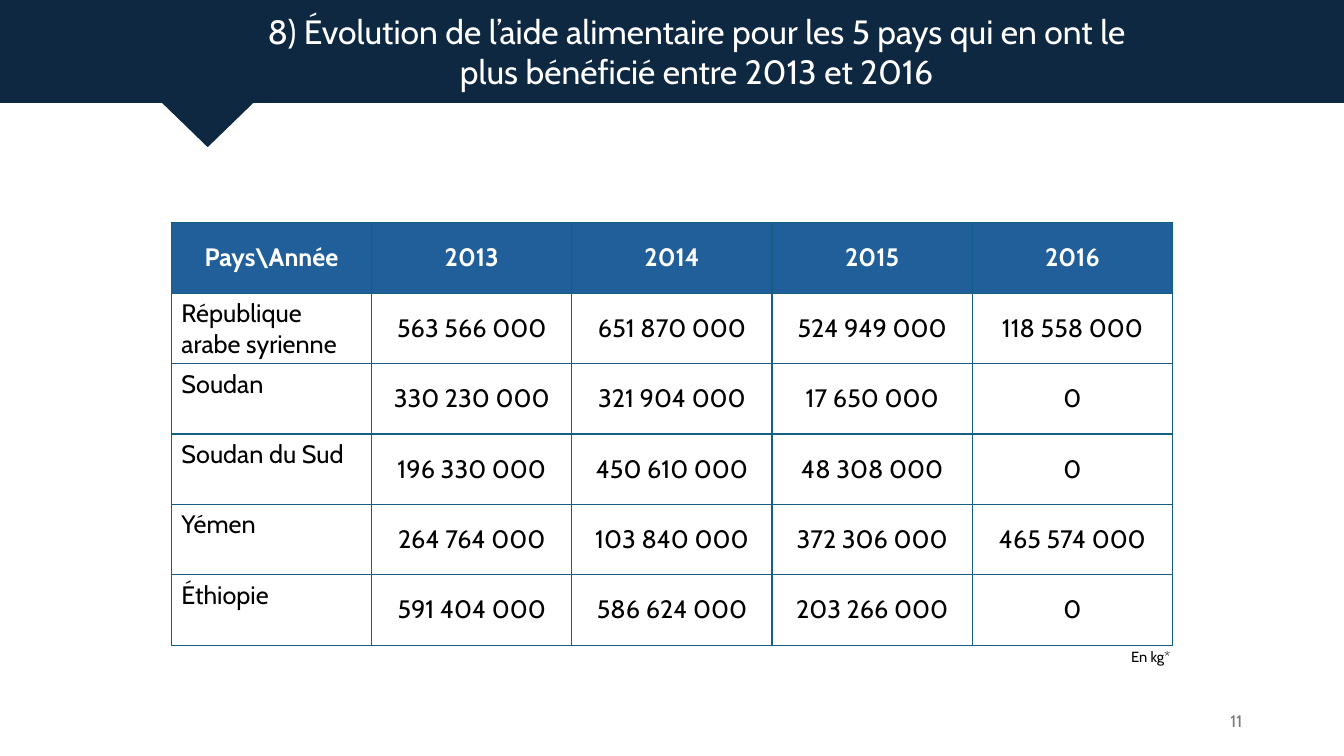
from lxml import etree
from pptx import Presentation
from pptx import util as u
from pptx.dml.color import RGBColor
from pptx.enum import shapes, text
from pptx.oxml import ns

COLORS = {"navy": "0E2841", "header": "215F9A", "border": "156082",
          "white": "FFFFFF", "black": "000000", "grey": "797979"}
LEFT, CENTER, RIGHT = text.PP_ALIGN.LEFT, text.PP_ALIGN.CENTER, text.PP_ALIGN.RIGHT
TOP, MIDDLE = text.MSO_ANCHOR.TOP, text.MSO_ANCHOR.MIDDLE

AID_BY_COUNTRY = [
    [r"Pays\Année", "2013", "2014", "2015", "2016"],
    ["République arabe syrienne", "563 566 000", "651 870 000", "524 949 000", "118 558 000"],
    ["Soudan", "330 230 000", "321 904 000", "17 650 000", "0"],
    ["Soudan du Sud", "196 330 000", "450 610 000", "48 308 000", "0"],
    ["Yémen", "264 764 000", "103 840 000", "372 306 000", "465 574 000"],
    ["Éthiopie", "591 404 000", "586 624 000", "203 266 000", "0"],
]


class AidSlide:
    """Holds the style and the slide, with one method per kind of element."""

    def __init__(self, slide, font="Cabin"):
        self.slide = slide
        self.font = font

    def color(self, key):
        return RGBColor.from_string(COLORS[key])

    def set_words(self, frame, words, size, color, align, bold=False):
        paragraph = frame.paragraphs[0]
        paragraph.alignment = align
        run = paragraph.add_run()
        run.text = words
        formats = {"name": self.font, "size": u.Pt(size), "bold": bold}
        for attribute, value in formats.items():
            setattr(run.font, attribute, value)
        run.font.color.rgb = self.color(color)

    def block(self, preset, box, color):
        block = self.slide.shapes.add_shape(preset, *map(u.Inches, box))
        block.shadow.inherit = False
        block.fill.solid()
        block.fill.fore_color.rgb = self.color(color)
        block.line.fill.background()

    def label(self, words, box, size, color, align=LEFT, anchor=TOP):
        frame = self.slide.shapes.add_textbox(*map(u.Inches, box)).text_frame
        for attribute, value in {"word_wrap": True, "vertical_anchor": anchor}.items():
            setattr(frame, attribute, value)
        self.set_words(frame, words, size, color, align)

    def outline(self, cell, color, width):
        properties = cell._tc.get_or_add_tcPr()
        for position, side in enumerate(("lnL", "lnR", "lnT", "lnB")):
            line = etree.Element(ns.qn(f"a:{side}"), w=str(u.Pt(width)))
            fill = etree.SubElement(line, ns.qn("a:solidFill"))
            etree.SubElement(fill, ns.qn("a:srgbClr"), val=COLORS[color])
            properties.insert(position, line)

    def table(self, rows, box):
        frame = self.slide.shapes.add_table(len(rows), len(rows[0]), *map(u.Inches, box))
        table = frame.table
        table.horz_banding = False
        for r, row in enumerate(rows):
            for c, words in enumerate(row):
                cell = table.cell(r, c)
                header, country = r == 0, r > 0 and c == 0
                cell.vertical_anchor = TOP if country else MIDDLE
                if header:
                    cell.fill.solid()
                    cell.fill.fore_color.rgb = self.color("header")
                else:
                    cell.fill.background()
                self.outline(cell, "border", 1)
                self.set_words(cell.text_frame, words, 18, "white" if header else "black",
                               LEFT if country else CENTER, header)


def main():
    deck = Presentation()
    deck.slide_width, deck.slide_height = u.Inches(13.33), u.Inches(7.5)
    page = AidSlide(deck.slides.add_slide(deck.slide_layouts[6]))
    page.block(shapes.MSO_SHAPE.RECTANGLE, (0, 0, 13.33, 1.02), "navy")
    page.block(shapes.MSO_SHAPE.FLOWCHART_MERGE, (1.39, 0.81, 1.34, 0.65), "navy")
    page.label("8) Évolution de l’aide alimentaire pour les 5 pays qui en ont le plus "
               "bénéficié entre 2013 et 2016", (2.43, 0.06, 8.96, 0.91), 24, "white", CENTER)
    page.label("11", (9.42, 6.95, 3, 0.4), 12, "grey", RIGHT, MIDDLE)
    page.table(AID_BY_COUNTRY, (1.7, 2.21, 9.93, 4.19))
    page.label("En kg*", (11.12, 6.38, 1.55, 0.28), 10.5, "black")
    deck.save("out.pptx")


if __name__ == "__main__":
    main()
